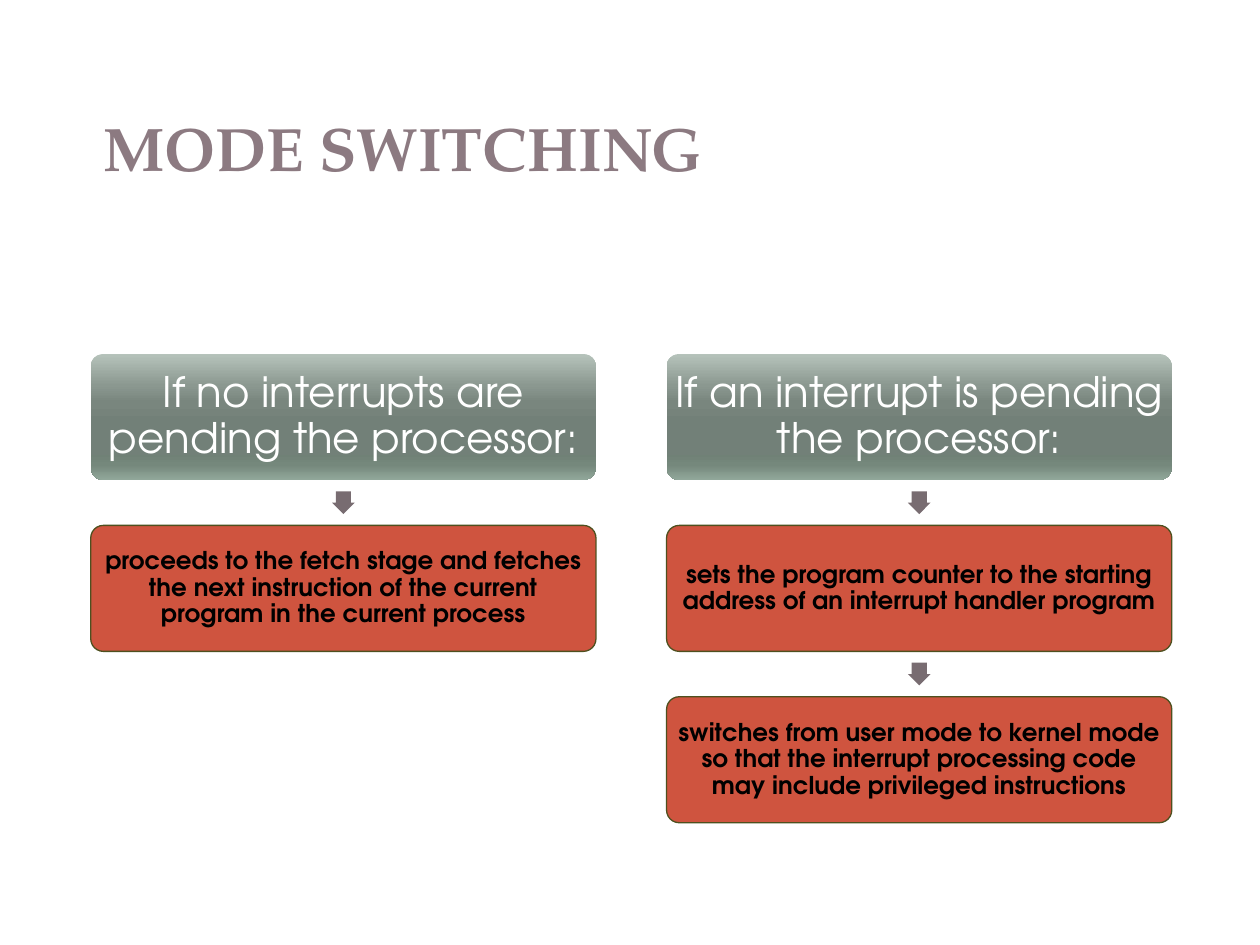
from copy import deepcopy
from pptx import Presentation
from pptx.dml.color import RGBColor
from pptx.enum.shapes import MSO_SHAPE
from pptx.enum.text import MSO_ANCHOR, MSO_AUTO_SIZE, PP_ALIGN
from pptx.oxml.ns import qn
from pptx.util import Inches, Pt

MAUVE = RGBColor(0x8C, 0x7A, 0x81)
GREY = RGBColor(0x78, 0x6C, 0x71)
RED = RGBColor(0xCF, 0x54, 0x3F)
OLIVE = RGBColor(0x4E, 0x50, 0x1F)
WHITE = RGBColor(0xFF, 0xFF, 0xFF)
BLACK = RGBColor(0, 0, 0)
SHEEN = [
    (0, RGBColor(0xB6, 0xC3, 0xBB)),
    (0.25, RGBColor(0x8B, 0x98, 0x90)),
    (0.38, RGBColor(0x79, 0x86, 0x7E)),
    (0.55, RGBColor(0x72, 0x80, 0x78)),
    (0.8, RGBColor(0x70, 0x81, 0x76)),
    (0.88, RGBColor(0x75, 0x88, 0x7C)),
    (1, RGBColor(0x91, 0xA7, 0x9A)),
]
SERIF = "TeX Gyre Pagella"
SANS = "TeX Gyre Adventor"

WIDTH, HEIGHT = Inches(4.01), Inches(1)
TOP, PITCH = Inches(2.81), Inches(1.36)
ARROW = Inches(0.18)
COLUMNS = [
    (Inches(0.72), "If no interrupts are pending the processor:", [
        "proceeds to the fetch stage and fetches the next instruction "
        "of the current program in the current process",
    ]),
    (Inches(5.29), "If an interrupt is pending the processor:", [
        "sets the program counter to the starting address of an "
        "interrupt handler program",
        "switches from user mode to kernel mode so that the interrupt "
        "processing code may include privileged instructions",
    ]),
]


def style(para, face, size, color, bold):
    font = para.runs[0].font
    font.name, font.size, font.bold = face, Pt(size), bold
    font.color.rgb = color


def add_title(slide, left, top, width, height):
    title = slide.shapes.title
    title.left, title.top, title.width, title.height = left, top, width, height
    frame = title.text_frame
    frame.text = "MODE SWITCHING"
    frame.auto_size = MSO_AUTO_SIZE.NONE
    frame.vertical_anchor = MSO_ANCHOR.MIDDLE
    para = frame.paragraphs[0]
    para.alignment = PP_ALIGN.LEFT
    style(para, SERIF, 35, MAUVE, True)


def add_sheen(shape):
    fill = shape.fill
    fill.gradient()
    fill.gradient_angle = 270
    stops = next(shape._element.spPr.iter(qn("a:gsLst")))
    while len(stops) < len(SHEEN):
        stops.append(deepcopy(stops[0]))
    for stop, (place, color) in zip(fill.gradient_stops, SHEEN):
        stop.position = place
        stop.color.rgb = color


def add_box(slide, left, top, text, size, color, bold, inset):
    box = slide.shapes.add_shape(
        MSO_SHAPE.ROUNDED_RECTANGLE, left, top, WIDTH, HEIGHT)
    box.adjustments[0] = 0.1
    box.shadow.inherit = False
    frame = box.text_frame
    frame.text = text
    frame.word_wrap = True
    frame.vertical_anchor = MSO_ANCHOR.MIDDLE
    frame.margin_left = frame.margin_right = inset
    frame.margin_top = frame.margin_bottom = inset
    para = frame.paragraphs[0]
    para.alignment = PP_ALIGN.CENTER
    para.line_spacing = 0.9
    style(para, SANS, size, color, bold)
    return box


def add_header(slide, left, top, text):
    box = add_box(slide, left, top, text, 24, WHITE, False, Inches(0.03))
    add_sheen(box)
    box.line.fill.background()


def add_step(slide, left, top, text):
    box = add_box(slide, left, top, text, 14, BLACK, True, Inches(0.02))
    box.fill.solid()
    box.fill.fore_color.rgb = RED
    box.line.color.rgb = OLIVE
    box.line.width = Pt(0.75)


def add_arrow(slide, left, top):
    arrow = slide.shapes.add_shape(
        MSO_SHAPE.RIGHT_ARROW, left, top, ARROW, ARROW)
    arrow.rotation = 90
    arrow.adjustments[0] = 0.67
    arrow.adjustments[1] = 0.5
    arrow.shadow.inherit = False
    arrow.fill.solid()
    arrow.fill.fore_color.rgb = GREY
    arrow.line.fill.background()


def add_column(slide, left, top, head, steps):
    add_header(slide, left, top, head)
    center = left + (WIDTH - ARROW) // 2
    gap = PITCH - HEIGHT
    for row, text in enumerate(steps, 1):
        y = top + row * PITCH
        add_arrow(slide, center, y - (gap + ARROW) // 2)
        add_step(slide, left, y, text)


def main():
    deck = Presentation()
    deck.slide_width, deck.slide_height = Inches(10), Inches(7.5)
    slide = deck.slides.add_slide(deck.slide_layouts[5])
    add_title(slide, Inches(0.72), Inches(0.5), Inches(8.56), Inches(1.33))
    for left, head, steps in COLUMNS:
        add_column(slide, left, TOP, head, steps)
    deck.save("out.pptx")


if __name__ == "__main__":
    main()
